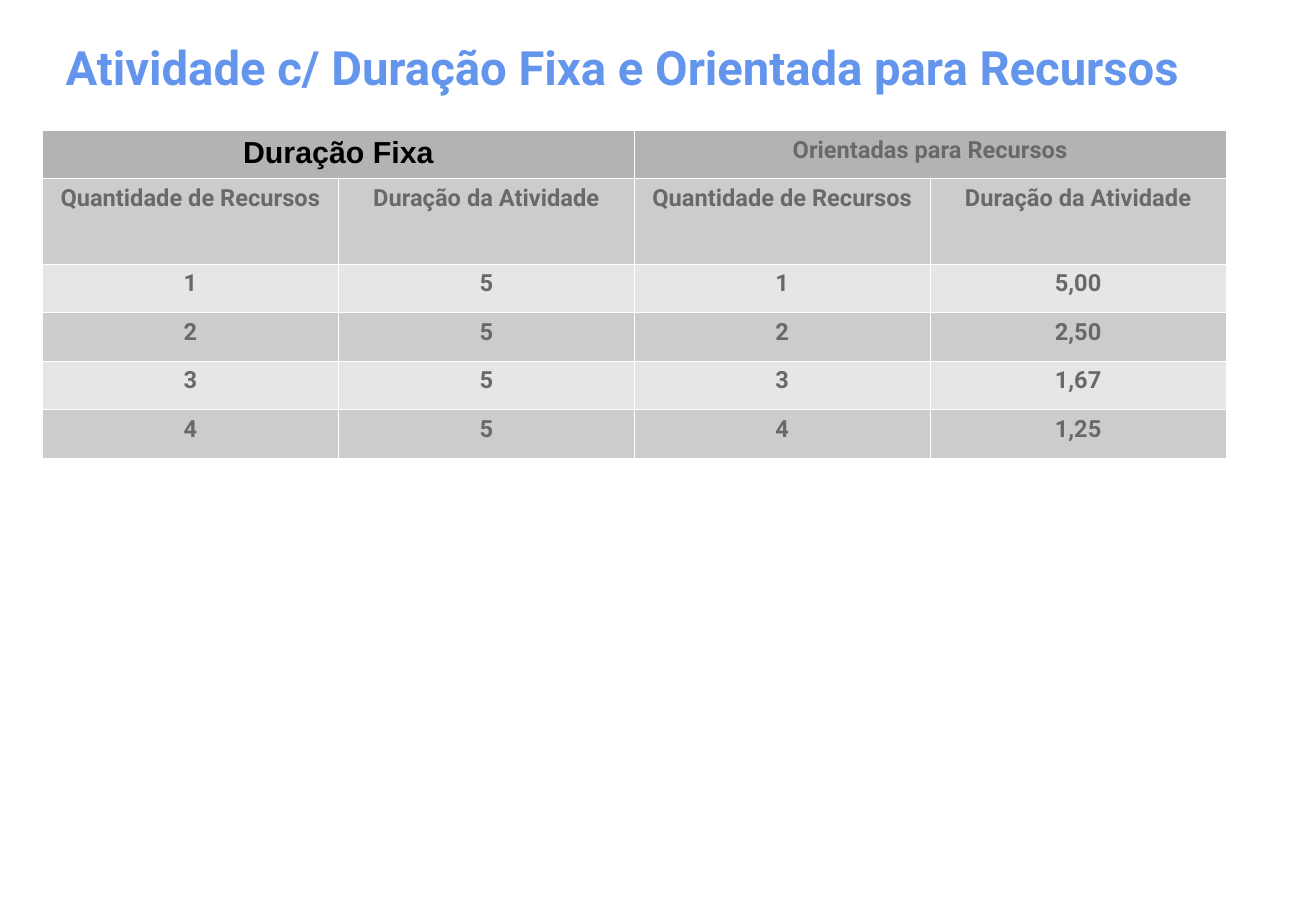
from lxml.etree import SubElement
from pptx import Presentation
from pptx.dml.color import RGBColor
from pptx.enum.text import MSO_ANCHOR, PP_ALIGN
from pptx.oxml.ns import qn
from pptx.util import Inches, Pt

COLORS = {
    "title": "6495ED",
    "text": "696969",
    "black": "000000",
    "border": "FFFFFF",
    "group": "B3B3B3",
    "dark": "CCCCCC",
    "light": "E6E6E6",
}
GROUPS = [("Duração Fixa", "Arial", 18, "black"),
          ("Orientadas para Recursos", "Roboto", 14, "text")]
HEADERS = ["Quantidade de Recursos", "Duração da Atividade"] * 2
DURATIONS = ["5,00", "2,50", "1,67", "1,25"]
ROWS = [HEADERS] + [[str(n), "5", str(n), duration]
                    for n, duration in enumerate(DURATIONS, 1)]
ROW_HEIGHTS = [0.4, 0.7] + [0.4] * len(DURATIONS)


def add_text(p, text, font, size, color):
    r = p.add_run()
    r.text = text
    r.font.name = font
    r.font.size = Pt(size)
    r.font.bold = True
    r.font.color.rgb = RGBColor.from_string(COLORS[color])


def style_cell(cell, fill):
    tc_pr = cell._tc.get_or_add_tcPr()
    for side in ("lnL", "lnR", "lnT", "lnB"):
        ln = SubElement(tc_pr, qn(f"a:{side}"), w=str(Pt(0.06)))
        solid = SubElement(ln, qn("a:solidFill"))
        SubElement(solid, qn("a:srgbClr"), val=COLORS["border"])
    cell.fill.solid()
    cell.fill.fore_color.rgb = RGBColor.from_string(COLORS[fill])


def fill_cell(cell, text, font, size, color):
    p = cell.text_frame.paragraphs[0]
    p.alignment = PP_ALIGN.CENTER
    add_text(p, text, font, size, color)


def add_title(slide, left, top, width, height):
    sp = slide.shapes.title
    sp.left, sp.top = Inches(left), Inches(top)
    sp.width, sp.height = Inches(width), Inches(height)
    tf = sp.text_frame
    tf.word_wrap = True
    tf.vertical_anchor = MSO_ANCHOR.MIDDLE
    tf.margin_left = tf.margin_right = tf.margin_top = tf.margin_bottom = 0
    p = tf.paragraphs[0]
    p.alignment = PP_ALIGN.LEFT
    add_text(p, "Atividade c/ Duração Fixa e Orientada para Recursos",
             "Roboto", 28, "title")


def add_duration_table(slide, left, top, width):
    n_rows, n_cols = len(ROW_HEIGHTS), len(HEADERS)
    table = slide.shapes.add_table(
        n_rows, n_cols, Inches(left), Inches(top),
        Inches(width), Inches(sum(ROW_HEIGHTS))).table
    for column in table.columns:
        column.width = Inches(width / n_cols)
    for i, height in enumerate(ROW_HEIGHTS):
        table.rows[i].height = Inches(height)
        fill = "group" if i == 0 else "dark" if i % 2 else "light"
        for cell in table.rows[i].cells:
            style_cell(cell, fill)
    span = n_cols // len(GROUPS)
    for i, group in enumerate(GROUPS):
        cell = table.cell(0, i * span)
        cell.merge(table.cell(0, (i + 1) * span - 1))
        fill_cell(cell, *group)
    for i, row in enumerate(ROWS, 1):
        for j, text in enumerate(row):
            fill_cell(table.cell(i, j), text, "Roboto", 14, "text")


def main():
    prs = Presentation()
    prs.slide_width, prs.slide_height = Inches(10.84), Inches(7.5)
    slide = prs.slides.add_slide(prs.slide_layouts[5])
    add_title(slide, 0.54, 0.08, 9.75, 0.93)
    add_duration_table(slide, 0.35, 1.07, 9.75)
    prs.save("out.pptx")


if __name__ == "__main__":
    main()
